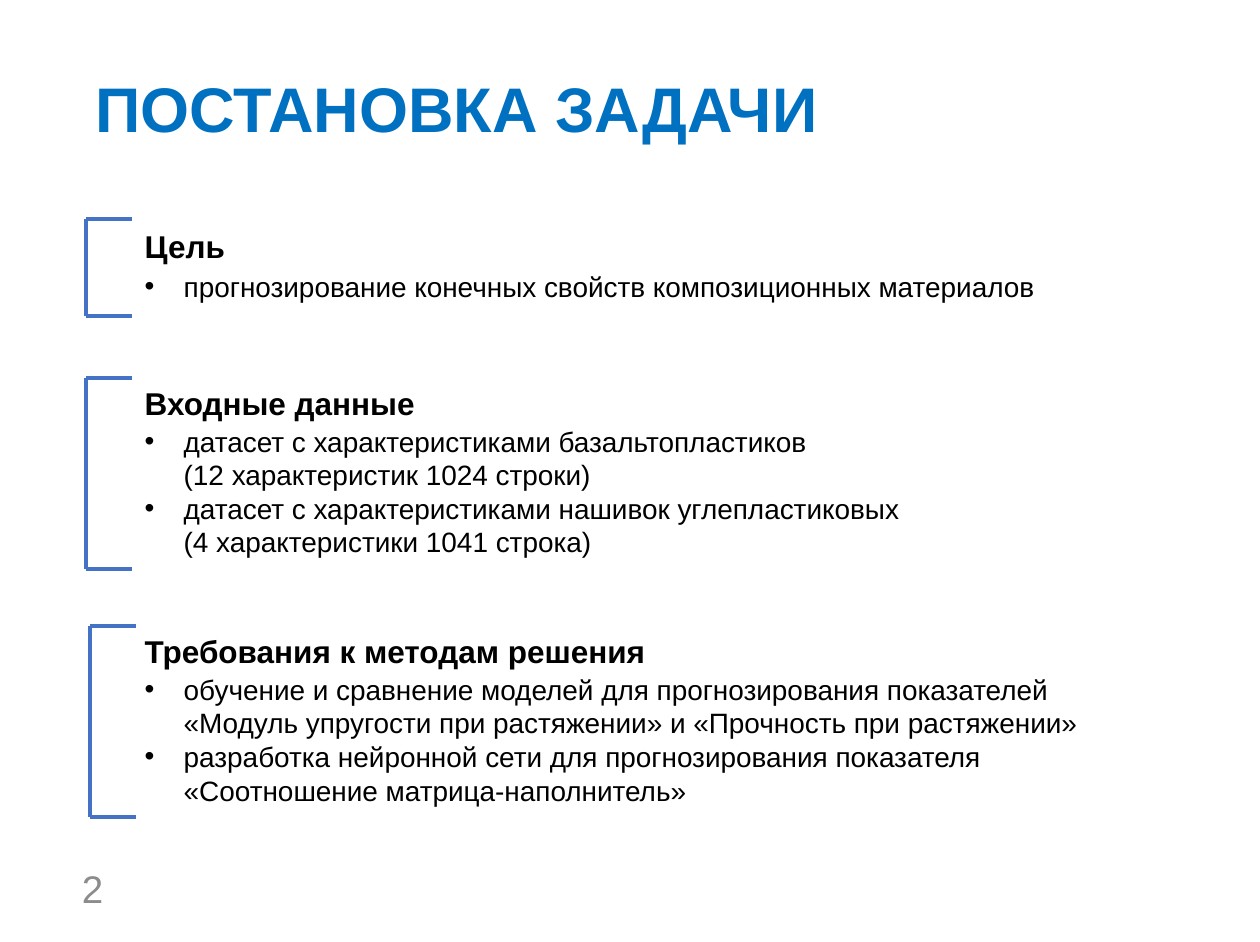
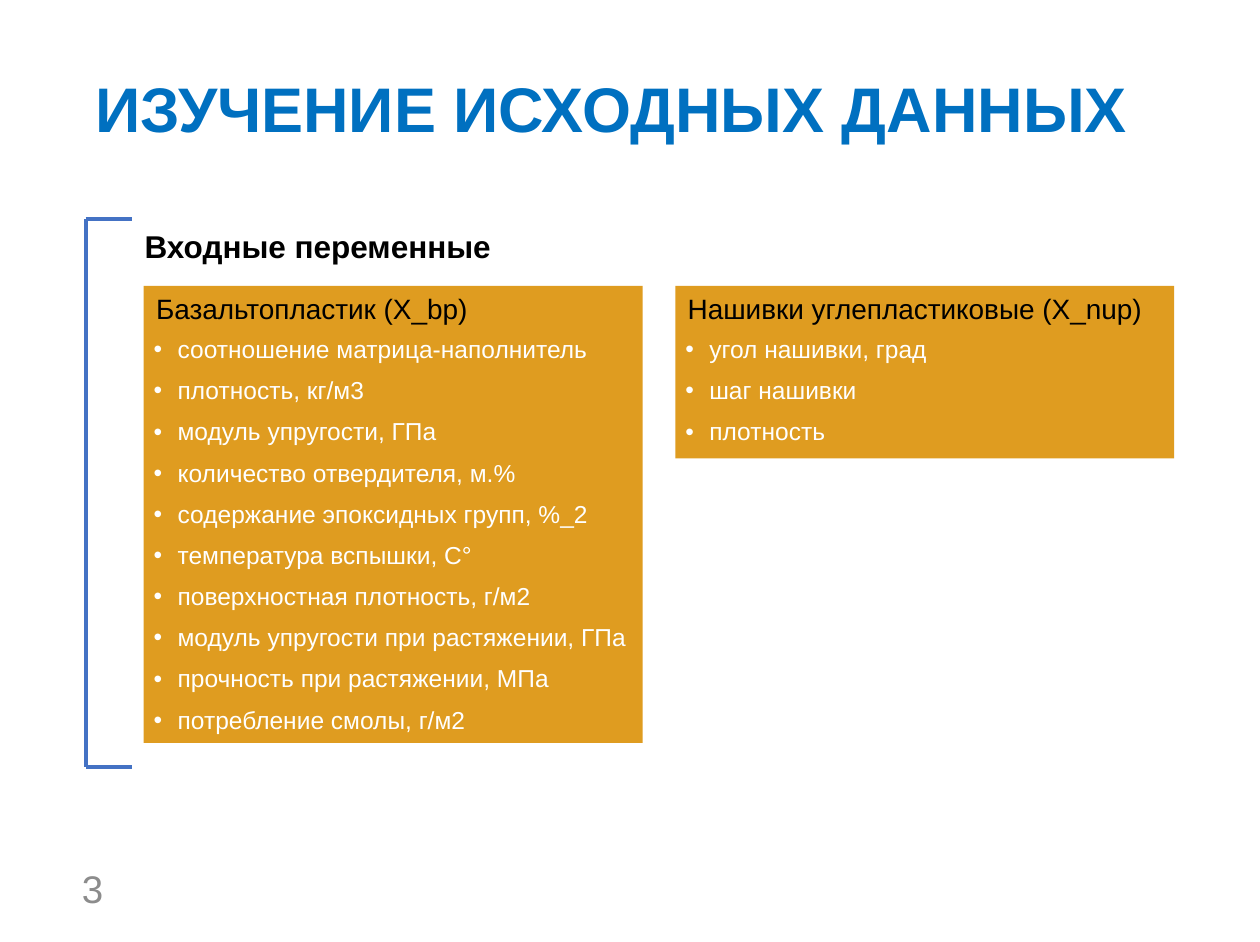
from copy import deepcopy

from lxml import etree
from pptx import Presentation
from pptx.dml.color import RGBColor
from pptx.enum.shapes import MSO_CONNECTOR, MSO_SHAPE
from pptx.enum.text import MSO_ANCHOR
from pptx.oxml.ns import qn
from pptx.util import Inches, Pt

LINE, RECT = MSO_CONNECTOR.STRAIGHT, MSO_SHAPE.RECTANGLE
TOP, MID, LOW = MSO_ANCHOR.TOP, MSO_ANCHOR.MIDDLE, MSO_ANCHOR.BOTTOM

WIDTH, HEIGHT = Inches(10), Inches(7.48)
COLS, ROWS = 100, 74.8
COLORS = {"title": "0070C0", "rule": "4472C4", "card": "DF9C20",
          "text": "000000", "light": "FFFFFF", "page": "8C8C8C"}
WIDE, SLIM = (0.1, 0.05), (0.08, 0.04)
STYLES = {
    "title": dict(font=dict(size=Pt(36), bold=True), color="title",
                  para=dict(line_spacing=0.9), inset=SLIM, anchor=LOW),
    "page": dict(font=dict(size=Pt(22)), color="page", inset=SLIM, anchor=MID),
    "head": dict(font=dict(size=Pt(18), bold=True), color="text"),
    "label": dict(font=dict(size=Pt(16)), color="text"),
    "list": dict(font=dict(size=Pt(16)), color="text", indent=0.31),
    "items": dict(font=dict(size=Pt(14)), color="light", indent=0.19, inset=SLIM,
                  para=dict(line_spacing=0.9, space_before=Pt(8.4))),
}

EDGE, ARM, TEXT = 6.8, 3.65, 10.5
FIRST = 17.4
CARD, GAP, LABEL = 39.6, 2.6, 3.7

TASKS = [
    (FIRST, 7.7, 0, 17.5, 20.9, "Цель",
     ["прогнозирование конечных свойств композиционных материалов"]),
    (30, 15.2, 0, 30, 33.2, "Входные данные",
     ["датасет с характеристиками базальтопластиков\n(12 характеристик 1024 строки)",
      "датасет с характеристиками нашивок углепластиковых\n(4 характеристики 1041 строка)"]),
    (49.7, 15.2, 0.35, 49.7, 52.9, "Требования к методам решения",
     ["обучение и сравнение моделей для прогнозирования показателей "
      "«Модуль упругости при растяжении» и «Прочность при растяжении»",
      "разработка нейронной сети для прогнозирования показателя "
      "«Соотношение матрица-наполнитель»"]),
]
CARDS = [
    (36.3, "Базальтопластик (X_bp)",
     ["соотношение матрица-наполнитель", "плотность, кг/м3",
      "модуль упругости, ГПа", "количество отвердителя, м.%",
      "содержание эпоксидных групп, %_2", "температура вспышки, С°",
      "поверхностная плотность, г/м2", "модуль упругости при растяжении, ГПа",
      "прочность при растяжении, МПа", "потребление смолы, г/м2"]),
    (13.7, "Нашивки углепластиковые (X_nup)",
     ["угол нашивки, град", "шаг нашивки", "плотность"]),
]


def grid(x, y):
    """Turn columns and rows into slide lengths."""
    return round(WIDTH * x / COLS), round(HEIGHT * y / ROWS)


def tint(name):
    """Look up a named colour."""
    return RGBColor.from_string(COLORS[name])


def apply(item, values):
    """Set each named format value on an object."""
    for key, value in values.items():
        setattr(item, key, value)


def bullet(par, indent):
    """Give a paragraph a bullet with a hanging indent."""
    props = par._p.get_or_add_pPr()
    props.set("marL", str(Inches(indent)))
    props.set("indent", str(-Inches(indent)))
    etree.SubElement(props, qn("a:buFont")).set("typeface", "Arial")
    etree.SubElement(props, qn("a:buChar")).set("char", "•")


def write(slide, at, lines, kind):
    """Add a text box in one of the shared styles."""
    style = STYLES[kind]
    frame = slide.shapes.add_textbox(*grid(*at[:2]), *grid(*at[2:])).text_frame
    side, edge = map(Inches, style.get("inset", WIDE))
    apply(frame, dict(word_wrap=True, vertical_anchor=style.get("anchor", TOP),
                      margin_left=side, margin_right=side,
                      margin_top=edge, margin_bottom=edge))
    for i, line in enumerate(lines):
        par = frame.add_paragraph() if i else frame.paragraphs[0]
        par.text = line
        apply(par, style.get("para", {}))
        if "indent" in style:
            bullet(par, style["indent"])
        for run in par.runs:
            apply(run.font, dict(style["font"], name="Arial"))
            run.font.color.rgb = tint(style["color"])
        for gap in par._p.findall(qn("a:br")):
            gap.append(deepcopy(par.runs[0]._r.rPr))


def rule(slide, start, end):
    """Draw one straight line."""
    line = slide.shapes.add_connector(LINE, *grid(*start), *grid(*end))
    line.line.color.rgb = tint("rule")
    line.line.width = Pt(2.25)
    etree.SubElement(line._element.spPr, qn("a:effectLst"))


def bracket(slide, top, tall, shift=0):
    """Draw a square bracket left of a section."""
    left, low = EDGE + shift, top + tall
    rule(slide, (left, top), (left, low))
    for y in (top, low):
        rule(slide, (left, y), (left + ARM, y))


def card(slide, left, top, tall, label, items):
    """Draw a filled card with a label and a bullet list."""
    box = slide.shapes.add_shape(RECT, *grid(left, top), *grid(CARD, tall))
    box.shadow.inherit = False
    box.fill.solid()
    box.fill.fore_color.rgb = tint("card")
    box.line.fill.background()
    write(slide, (left, top, CARD, LABEL), [label], "label")
    write(slide, (left, top + LABEL, CARD, tall - LABEL), items, "items")


def page(deck, title, number):
    """Add a slide with its title and number."""
    slide = deck.slides.add_slide(deck.slide_layouts[6])
    write(slide, (EDGE, 5.2, 86.3, 6.8), [title], "title")
    write(slide, (5.7, 68.5, 6.6, 4), [str(number)], "page")
    return slide


def main():
    """Build both slides and save the deck."""
    deck = Presentation()
    apply(deck, dict(slide_width=WIDTH, slide_height=HEIGHT))

    slide = page(deck, "ПОСТАНОВКА ЗАДАЧИ", 2)
    for top, tall, shift, head, body, name, items in TASKS:
        bracket(slide, top, tall, shift)
        write(slide, (TEXT, head, 86.1, 4), [name], "head")
        write(slide, (TEXT, body, 77.6, top + tall - body), items, "list")

    slide = page(deck, "ИЗУЧЕНИЕ ИСХОДНЫХ ДАННЫХ", 3)
    bracket(slide, FIRST, 43.5)
    write(slide, (TEXT, 17.5, 50, 4), ["Входные переменные"], "head")
    for i, (tall, label, items) in enumerate(CARDS):
        card(slide, 11.4 + i * (CARD + GAP), 22.7, tall, label, items)

    deck.save("out.pptx")


if __name__ == "__main__":
    main()
